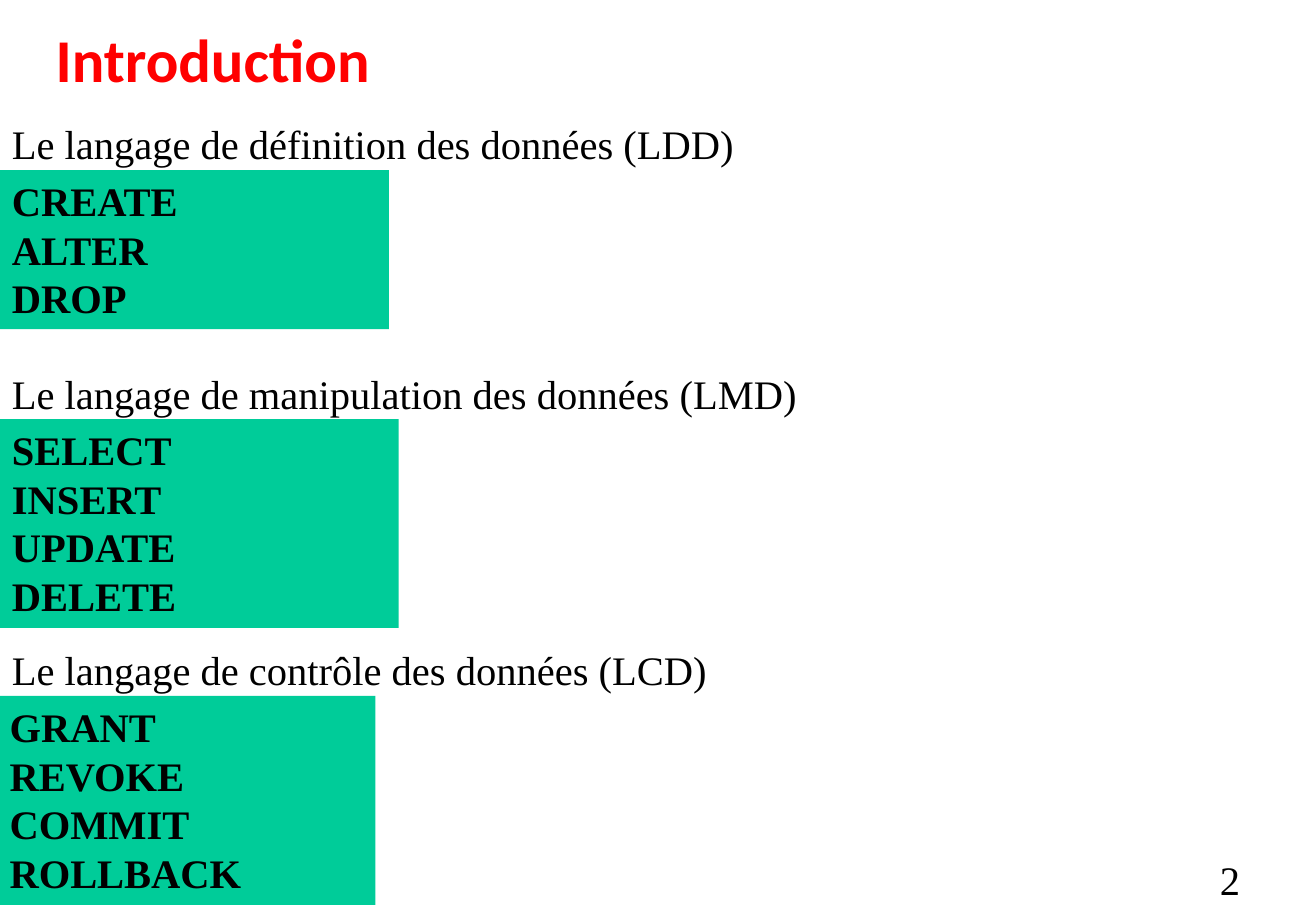
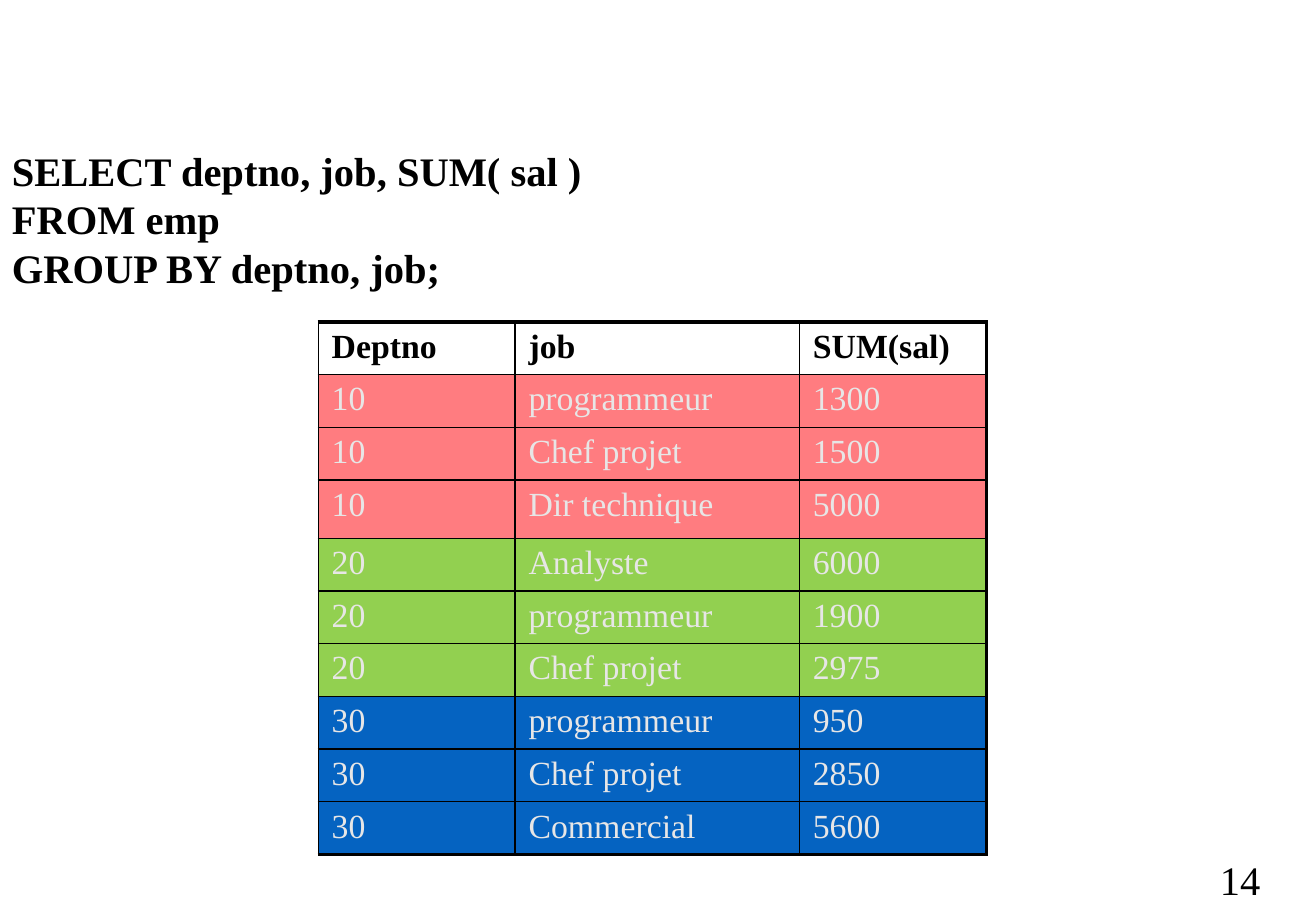
"""Build two slides on SQL: its language families and a grouped query."""
from lxml.etree import SubElement
from pptx import Presentation
from pptx.dml.color import RGBColor
from pptx.enum.shapes import MSO_SHAPE
from pptx.enum.text import MSO_ANCHOR, PP_ALIGN
from pptx.oxml.ns import qn
from pptx.util import Inches, Pt

COLORS = {
    "ink": "000000", "title": "FF0000", "box": "00CC99", "pale": "E7E6E6",
    "red": "FF7C80", "green": "92D050", "blue": "0563C1",
}
BODY, HEAD = "Times New Roman", "Calibri"


def color(name):
    return RGBColor.from_string(COLORS[name])


class Deck:
    def __init__(self):
        self.prs = Presentation()
        self.prs.slide_width, self.prs.slide_height = Inches(10.83), Inches(7.5)
        self.slide = None

    def start(self):
        self.slide = self.prs.slides.add_slide(self.prs.slide_layouts[6])

    def style(self, frame, text, size=24, bold=False, ink="ink", face=BODY):
        frame.text = text
        for para in frame.paragraphs:
            para.alignment = PP_ALIGN.LEFT
            for run in para.runs:
                font = run.font
                font.name, font.size, font.bold = face, Pt(size), bold
                font.color.rgb = color(ink)

    def text(self, text, left, top, width, height, wrap=True, **look):
        frame = self.slide.shapes.add_textbox(
            Inches(left), Inches(top), Inches(width), Inches(height)).text_frame
        frame.word_wrap = wrap
        self.style(frame, text, **look)
        return frame

    def title(self, text):
        frame = self.text(text, 0.36, 0.25, 10.11, 1, size=36, bold=True,
                          ink="title", face=HEAD)
        frame.paragraphs[0].line_spacing = 0.8

    def number(self, value):
        self.text(str(value), 9.94, 6.99, 0.89, 0.51)

    def box(self, words, left, top, width, height):
        shape = self.slide.shapes.add_shape(
            MSO_SHAPE.RECTANGLE, Inches(left), Inches(top), Inches(width), Inches(height))
        shape.shadow.inherit = False
        shape.fill.solid()
        shape.fill.fore_color.rgb = color("box")
        shape.line.fill.background()
        shape.text_frame.vertical_anchor = MSO_ANCHOR.TOP
        self.style(shape.text_frame, "\n".join(words), bold=True)

    def edge(self, cell, side, width):
        line = SubElement(cell._tc.get_or_add_tcPr(), qn("a:ln" + side))
        if width:
            line.set("w", str(Pt(width)))
            fill = SubElement(line, qn("a:solidFill"))
            SubElement(fill, qn("a:srgbClr")).set("val", COLORS["ink"])
        else:
            SubElement(line, qn("a:noFill"))

    def table(self, rows, fills, left, top, widths, heights):
        table = self.slide.shapes.add_table(
            len(rows), len(widths), Inches(left), Inches(top),
            Inches(sum(widths)), Inches(sum(heights))).table
        table.first_row = table.horz_banding = False
        for col, width in zip(table.columns, widths):
            col.width = Inches(width)
        for row, height in zip(table.rows, heights):
            row.height = Inches(height)
        for r, row in enumerate(rows):
            for c, value in enumerate(row):
                cell = table.cell(r, c)
                cell.margin_left = cell.margin_right = Inches(0.11)
                blank = c == 0
                top_w = 2.25 if r == 0 else 1
                low_w = 2.25 if r == len(rows) - 1 else 1
                end_w = 2.25 if c == len(row) - 1 else 1
                sides = {"L": 0 if blank else 1, "R": end_w,
                         "T": 0 if blank else top_w, "B": 0 if blank else low_w}
                for side, width in sides.items():
                    self.edge(cell, side, width)
                if blank or not fills[r]:
                    cell.fill.background()
                else:
                    cell.fill.solid()
                    cell.fill.fore_color.rgb = color(fills[r])
                self.style(cell.text_frame, value, size=20, bold=r == 0,
                           ink="pale" if r else "ink")
        return table


def intro(deck):
    deck.start()
    groups = [
        ("Le langage de définition des données (LDD)", 0.93,
         ["CREATE", "ALTER", "DROP"], (0, 1.4, 3.2, 1.31)),
        ("Le langage de manipulation des données (LMD)", 2.99,
         ["SELECT", "INSERT", "UPDATE", "DELETE"], (0, 3.45, 3.28, 1.72)),
        ("Le langage de contrôle des données (LCD)", 5.26,
         ["GRANT", "REVOKE", "COMMIT", "ROLLBACK"], (-0.02, 5.73, 3.11, 1.72)),
    ]
    for label, top, words, place in groups:
        deck.text(label, 0, top, 10.83, 0.5)
        deck.box(words, *place)
    deck.title("Introduction")
    deck.number(2)


def query(deck):
    deck.start()
    deck.text("SELECT deptno, job, SUM( sal )\nFROM emp\nGROUP BY deptno, job;",
              0, 1.15, 4.94, 1.31, wrap=False, bold=True)
    groups = [
        ("10", "red", [("programmeur", "1300"), ("Chef projet", "1500"),
                       ("Dir technique", "5000")]),
        ("20", "green", [("Analyste", "6000"), ("programmeur", "1900"),
                         ("Chef projet", "2975")]),
        ("30", "blue", [("programmeur", "950"), ("Chef projet", "2850"),
                        ("Commercial", "5600")]),
    ]
    rows, fills = [("", "Deptno", "job", "SUM(sal)")], [None]
    for dept, fill, jobs in groups:
        for job, total in jobs:
            rows.append(("", dept, job, total))
            fills.append(fill)
    heights = [0.43] * 3 + [0.48] + [0.43] * 6
    table = deck.table(rows, fills, 1.64, 2.65, [0.98, 1.62, 2.34, 1.54], heights)
    table.cell(1, 0).merge(table.cell(6, 0))
    deck.number(14)


def main():
    deck = Deck()
    intro(deck)
    query(deck)
    deck.prs.save("out.pptx")


if __name__ == "__main__":
    main()
